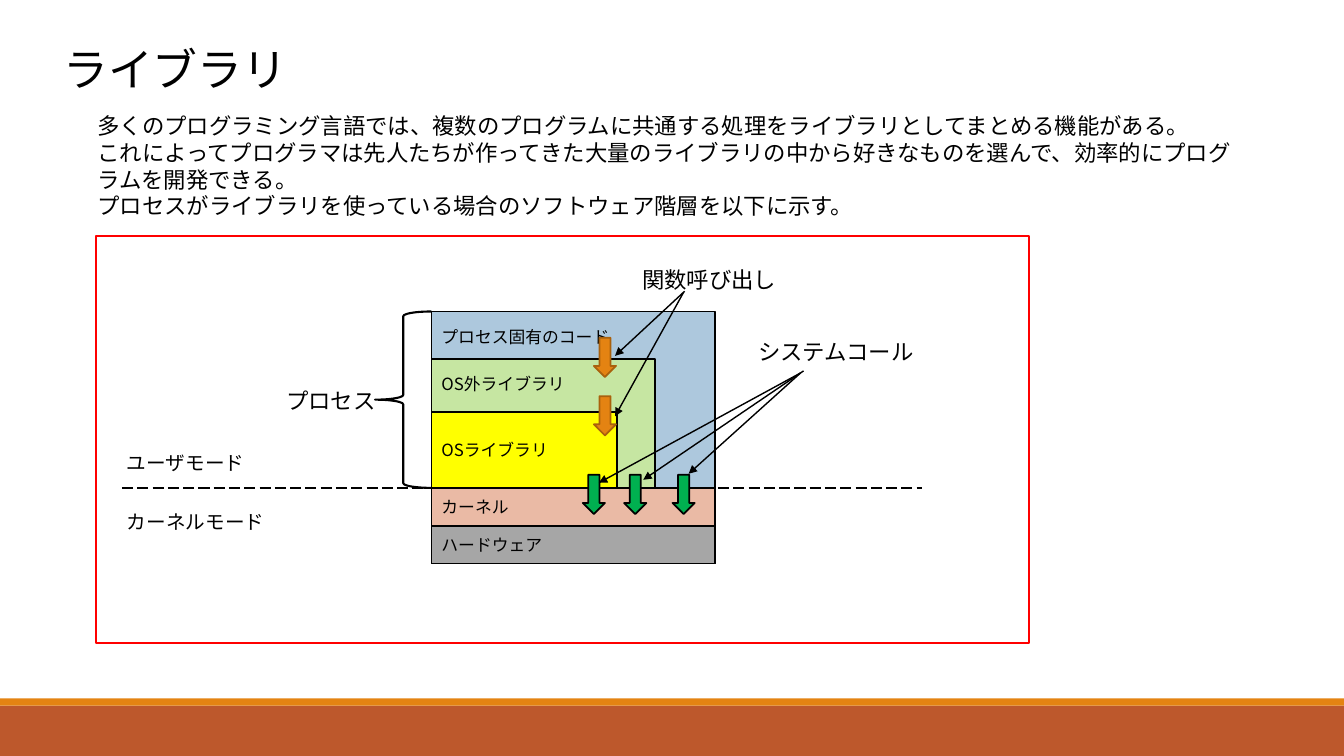
"""Build the slide on libraries and the software layers below a process."""
from lxml import etree
from pptx import Presentation
from pptx import util as u
from pptx.dml.color import RGBColor
from pptx.enum import dml, shapes, text
from pptx.oxml.ns import qn

FONT = "Noto Sans CJK JP"
COLORS = {
    "black": "000000", "red": "FF0000", "rust": "BD582C", "orange": "E48312",
    "brown": "A9610D", "blue": "ADC8DD", "gray": "A6A6A6", "pink": "EABAA5",
    "lime": "C6E6A2", "yellow": "FFFF00", "green": "00B050",
}
BODY = [
    "多くのプログラミング言語では、複数のプログラムに共通する処理をライブラリとしてまとめる機能がある。",
    "これによってプログラマは先人たちが作ってきた大量のライブラリの中から好きなものを選んで、効率的にプログラムを開発できる。",
    "プロセスがライブラリを使っている場合のソフトウェア階層を以下に示す。",
]
LABELS = [
    (["ライブラリ"], 32, (0.53, 0.34, 4.79, 0.64)),
    (BODY, 16, (0.87, 1.04, 11.46, 0.91)),
    (["プロセス"], 16, (2.74, 3.77, 1.14, 0.37)),
    (["関数呼び出し"], 16, (6.27, 2.57, 1.79, 0.37)),
    (["ユーザモード"], 14, (1.16, 4.4, 1.58, 0.34)),
    (["カーネルモード"], 14, (1.16, 4.99, 1.58, 0.34)),
    (["システムコール"], 16, (7.42, 3.28, 1.79, 0.37)),
]
STACK_LEFT, STACK_TOP, STACK_WIDTH = 4.28, 3.09, 2.81
MODE_LINE, STACK_BOTTOM = 4.84, 5.59
ROW = (STACK_BOTTOM - MODE_LINE) / 2
LAYERS = [
    ("プロセス固有のコード", "blue", STACK_TOP, STACK_WIDTH, STACK_BOTTOM, "TOP"),
    ("ハードウェア", "gray", MODE_LINE + ROW, STACK_WIDTH, STACK_BOTTOM, "MIDDLE"),
    ("カーネル", "pink", MODE_LINE, STACK_WIDTH, MODE_LINE + ROW, "MIDDLE"),
    ("OS外ライブラリ", "lime", 3.56, 2.22, MODE_LINE, "TOP"),
    ("OSライブラリ", "yellow", 4.09, 1.84, MODE_LINE, "MIDDLE"),
]
ARROW_SIZE = (0.22, 0.39)
CALL_ARROWS = [
    ("orange", "brown", [(5.89, 3.35), (5.89, 3.93)]),
    ("green", "black", [(5.78, 4.71), (6.19, 4.71), (6.67, 4.71)]),
]
POINTERS = [
    (6.79, 2.89, 6.1, 3.53), (6.78, 2.9, 6.1, 4.13),
    (7.94, 3.7, 5.94, 4.79), (7.97, 3.68, 6.38, 4.76), (7.94, 3.7, 6.83, 4.7),
]


def rgb(name):
    return RGBColor.from_string(COLORS[name])


def write(tf, lines, size, anchor="TOP", top=0.07):
    frame = {
        "word_wrap": True, "margin_top": u.Inches(top),
        "vertical_anchor": getattr(text.MSO_ANCHOR, anchor),
    }
    for key, value in frame.items():
        setattr(tf, key, value)
    for i, line in enumerate(lines):
        p = tf.paragraphs[0] if i == 0 else tf.add_paragraph()
        p.alignment = text.PP_ALIGN.LEFT
        p.line_spacing = u.Pt(size * 1.2)
        r = p.add_run()
        r.text = line
        for key, value in {"name": FONT, "size": u.Pt(size)}.items():
            setattr(r.font, key, value)
        r.font.color.rgb = rgb("black")
        etree.SubElement(r.font._element, qn("a:ea"), typeface=FONT)


def add_box(s, kind, box, fill=None, line=None, width=1.25):
    sp = s.shapes.add_shape(
        getattr(shapes.MSO_SHAPE, kind), *[u.Inches(v) for v in box])
    sp.shadow.inherit = False
    if fill:
        sp.fill.solid()
        sp.fill.fore_color.rgb = rgb(fill)
    else:
        sp.fill.background()
    if line:
        sp.line.color.rgb = rgb(line)
        sp.line.width = u.Pt(width)
    else:
        sp.line.fill.background()
    return sp


def add_line(s, ends, dash=None, head=False):
    cx = s.shapes.add_connector(
        shapes.MSO_CONNECTOR.STRAIGHT, *[u.Inches(v) for v in ends])
    cx.line.color.rgb = rgb("black")
    cx.line.width = u.Pt(1)
    if dash:
        cx.line.dash_style = dash
    if head:
        etree.SubElement(cx.line._get_or_add_ln(), qn("a:tailEnd"), type="triangle")
    etree.SubElement(cx._element.spPr, qn("a:effectLst"))


def main():
    prs = Presentation()
    prs.slide_width, prs.slide_height = u.Inches(13.33), u.Inches(7.5)
    s = prs.slides.add_slide(prs.slide_layouts[6])

    add_box(s, "RECTANGLE", (0, 7, 13.33, 0.5), "rust")
    add_box(s, "RECTANGLE", (0, 6.93, 13.33, 0.07), "orange")
    add_box(s, "RECTANGLE", (0.95, 2.34, 9.26, 4.04), line="red")

    for name, fill, top, width, bottom, anchor in LAYERS:
        sp = add_box(s, "RECTANGLE", (STACK_LEFT, top, width, bottom - top),
                     fill, "black")
        write(sp.text_frame, [name], 12, anchor, 0.15 if anchor == "TOP" else 0.05)

    add_line(s, (1.21, MODE_LINE, 9.14, MODE_LINE), dml.MSO_LINE.LONG_DASH)
    add_box(s, "LEFT_BRACE", (3.72, STACK_TOP, 0.56, MODE_LINE - STACK_TOP),
            line="black", width=1.5)
    for fill, line, places in CALL_ARROWS:
        for place in places:
            add_box(s, "DOWN_ARROW", place + ARROW_SIZE, fill, line)
    for ends in POINTERS:
        add_line(s, ends, head=True)

    for lines, size, box in LABELS:
        sp = s.shapes.add_textbox(*[u.Inches(v) for v in box])
        write(sp.text_frame, lines, size)

    prs.save("out.pptx")


if __name__ == "__main__":
    main()
